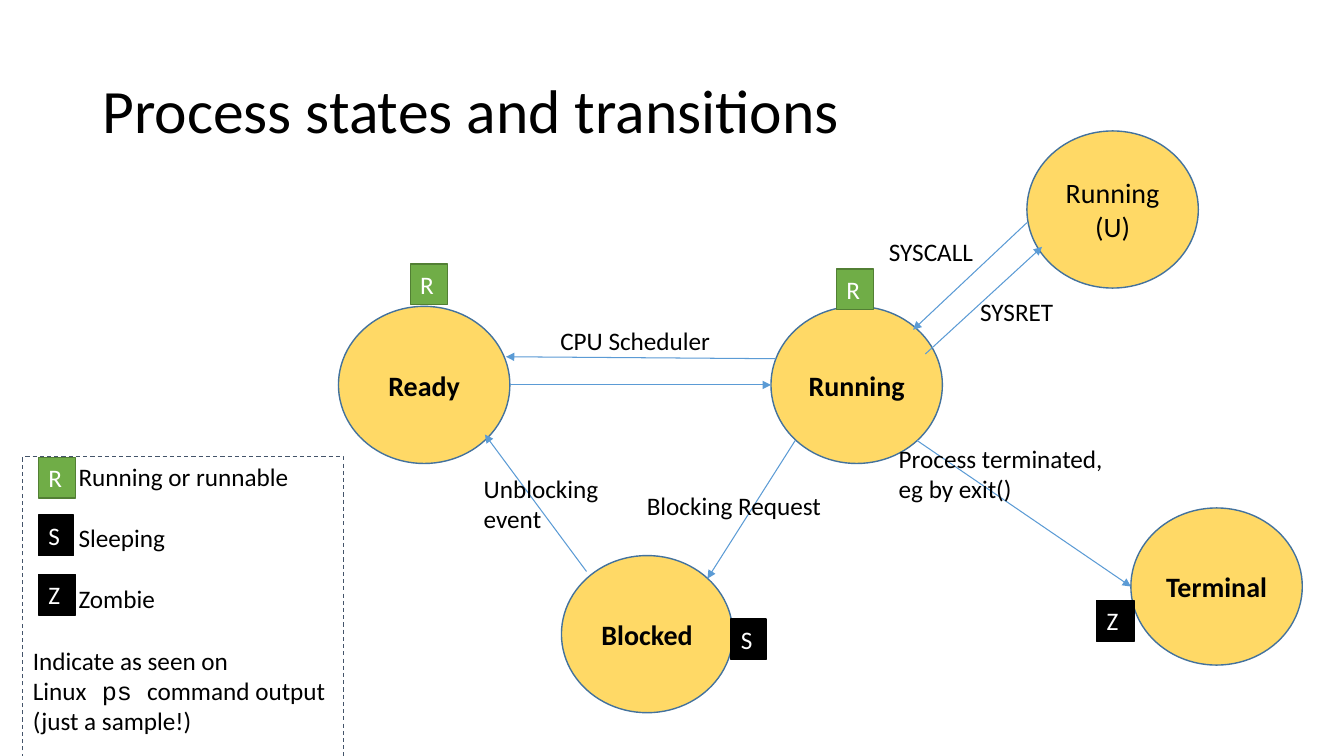
from lxml.etree import SubElement
from pptx import Presentation
from pptx.dml.color import RGBColor
from pptx.enum.dml import MSO_LINE_DASH_STYLE as Dash
from pptx.enum.shapes import MSO_CONNECTOR as Connector, MSO_SHAPE as Shape
from pptx.enum.text import MSO_ANCHOR as Anchor, PP_ALIGN as Align
from pptx.oxml.ns import qn
from pptx.util import Cm, Pt


def color(code):
    return RGBColor.from_string(code)


class StateDiagram:
    black, white = "000000", "FFFFFF"
    state_fill, state_line = "FFD966", "43729D"
    arrow_color, legend_line = "5B9BD5", "44546A"
    state_size = (4.32, 3.96)
    badge_styles = {  # letter: fill, line, width
        "R": ("70AD47", "527F34", 0.94),
        "S": ("000000", "000000", 0.89),
        "Z": ("000000", "000000", 0.94),
    }

    def __init__(self, page):
        self.shapes = page.shapes

    def set_text(self, box, paragraphs, size=18, ink=black, bold=False,
                 wrap=True, anchor=Anchor.TOP, **layout):
        """Fill a box; each paragraph is a list of (text, font) pairs."""
        frame = box.text_frame
        frame.word_wrap, frame.vertical_anchor = wrap, anchor
        layout = {"alignment": Align.LEFT, **layout}
        for index, spans in enumerate(paragraphs):
            para = frame.add_paragraph() if index else frame.paragraphs[0]
            for name, value in layout.items():
                setattr(para, name, value)
            for text, font in spans:
                span = para.add_run()
                span.text = text
                span.font.color.rgb = color(ink)
                style = {"name": font, "size": Pt(size), "bold": bold}
                for name, value in style.items():
                    setattr(span.font, name, value)
        return frame.paragraphs

    def shape(self, kind, left, top, width, height, fill, line, weight=1):
        box = self.shapes.add_shape(kind, Cm(left), Cm(top), Cm(width), Cm(height))
        box.shadow.inherit = False
        if fill:
            box.fill.solid()
            box.fill.fore_color.rgb = color(fill)
        else:
            box.fill.background()
        box.line.color.rgb = color(line)
        box.line.width = Pt(weight)
        return box

    def label(self, lines, left, top, width, height=None, **style):
        height = height or (1.02 if len(lines) == 1 else 1.78)
        box = self.shapes.add_textbox(Cm(left), Cm(top), Cm(width), Cm(height))
        self.set_text(box, [[(line, "Calibri")] for line in lines], **style)

    def state(self, name, left, top, bold=True):
        circle = self.shape(Shape.OVAL, left, top, *self.state_size,
                            self.state_fill, self.state_line)
        self.set_text(circle, [[(name, "Calibri")]], size=20, bold=bold,
                      anchor=Anchor.MIDDLE, alignment=Align.CENTER)

    def badge(self, letter, left, top):
        fill, line, width = self.badge_styles[letter]
        box = self.shape(Shape.RECTANGLE, left, top, width, 1.02, fill, line)
        self.set_text(box, [[(letter, "Calibri")]], ink=self.white, wrap=False)

    def arrow(self, *ends):
        arrow = self.shapes.add_connector(Connector.STRAIGHT, *map(Cm, ends))
        arrow.line.color.rgb = color(self.arrow_color)
        arrow.line.width = Pt(0.75)
        properties = arrow._element.spPr
        SubElement(properties.find(qn("a:ln")), qn("a:tailEnd"), type="triangle")
        SubElement(properties, qn("a:effectLst"))

    def legend(self, entries, note, left, top, width, height):
        box = self.shape(Shape.RECTANGLE, left, top, width, height,
                         None, self.legend_line, weight=0)
        box.line.dash_style = Dash.DASH
        rows = [[(entry, "Calibri")] for entry in entries]
        paragraphs = self.set_text(box, rows + note)
        for para in paragraphs[:len(entries)]:
            para._p.get_or_add_pPr().set("marL", str(Cm(1.15)))
        for para in paragraphs[1:len(entries) + 1]:
            para.space_before = Pt(22)


STATES = [("Running", 19.43, 7.72), ("Blocked", 14.15, 14), ("Ready", 8.53, 7.72),
          ("Running (U)", 25.88, 3.3, False), ("Terminal", 28.5, 12.8)]

ARROWS = [
    (20.04, 11.1, 17.83, 14.58),   # Running to Blocked
    (14.78, 14.4, 12.22, 10.95),   # Blocked to Ready
    (12.85, 9.7, 19.43, 9.7),      # Ready to Running
    (19.56, 9.04, 12.75, 8.99),    # Running to Ready
    (25.88, 5.61, 23.01, 8.31),    # Running (U) to Running
    (23.32, 8.92, 26.26, 6.22),    # Running to Running (U)
    (23.11, 11.1, 28.5, 14.78),    # Running to Terminal
]

LABELS = [
    (["Blocking Request"], 16.05, 12.22, 5.97),
    (["Unblocking", "event"], 11.94, 11.79, 4.04),
    (["CPU Scheduler"], 13.87, 8.08, 5.33),
    (["SYSCALL"], 22.15, 5.82, 3.28),
    (["SYSRET"], 24.45, 7.34, 2.92),
    (["Process terminated,", "eg by exit()"], 22.4, 11.05, 7.04),
]

BADGES = [("R", 10.34, 6.65), ("S", 18.42, 15.6), ("R", 21.08, 6.78),
          ("Z", 27.64, 15.14), ("R", 0.97, 11.53), ("S", 0.97, 12.98),
          ("Z", 0.97, 14.48)]

LEGEND_ENTRIES = ["Running or runnable", "Sleeping", "Zombie"]
LEGEND_NOTE = [
    [("Indicate as seen on", "Calibri")],
    [("Linux", "Calibri"), (" ps ", "Courier New"), ("command output", "Calibri")],
    [("(just a sample!)", "Calibri")],
]


def main():
    deck = Presentation()
    deck.slide_width, deck.slide_height = Cm(33.87), Cm(19.05)
    diagram = StateDiagram(deck.slides.add_slide(deck.slide_layouts[6]))
    diagram.label(["Process states and transitions"], 2.33, 1.01, 29.21, 3.68,
                  size=44, anchor=Anchor.MIDDLE, line_spacing=0.9)
    for state in STATES:
        diagram.state(*state)
    for ends in ARROWS:
        diagram.arrow(*ends)
    for label in LABELS:
        diagram.label(*label)
    diagram.legend(LEGEND_ENTRIES, LEGEND_NOTE, 0.58, 11.51, 8.08, 8.64)
    for badge in BADGES:
        diagram.badge(*badge)
    deck.save("out.pptx")


if __name__ == "__main__":
    main()
